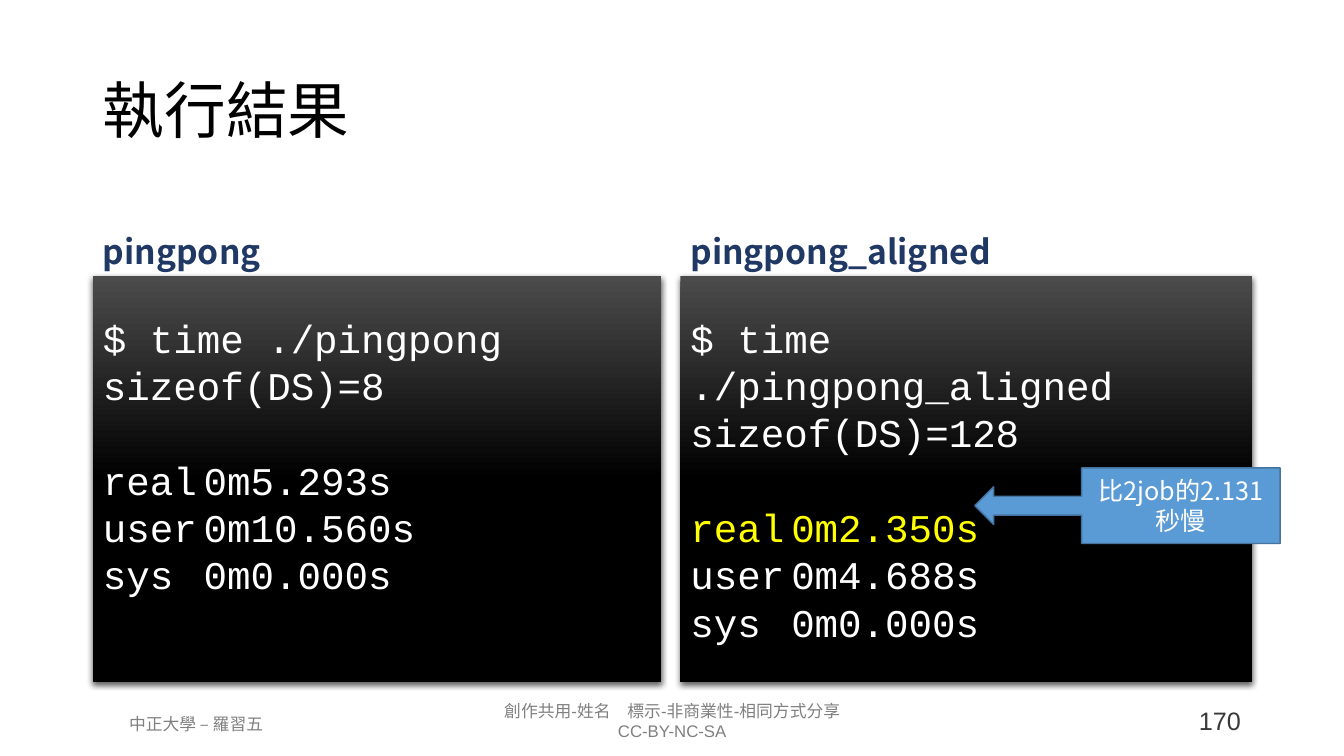
import pptx
import pptx.util
import pptx.dml.color
import pptx.enum.shapes
import pptx.enum.text
import pptx.oxml
import pptx.oxml.ns
from dataclasses import dataclass

Pt = pptx.util.Pt
Rgb = pptx.dml.color.RGBColor.from_string
Align = pptx.enum.text.PP_ALIGN
Anchor = pptx.enum.text.MSO_ANCHOR
CELL = pptx.util.Inches(13.333) / 32
NS = pptx.oxml.ns.nsdecls("a")


@dataclass
class Theme:
    sans: str = "Noto Sans CJK SC"
    foot: str = "Arial"
    mono: str = "Courier New"
    ink: str = "000000"
    navy: str = "203864"
    white: str = "FFFFFF"
    mark: str = "FFFF00"
    gray: str = "808080"
    dark: str = "3B3838"
    glow: str = "4B4B4B"
    blue: str = "5B9BD5"
    edge: str = "43739E"
    title: int = 44
    code: int = 28
    head: int = 24
    note: int = 18
    small: int = 12
    pitch: float = 33.8


T = Theme()


def put(item, vals):
    for key, val in vals.items():
        setattr(item, key, val)


def place(shape, box):
    put(shape, dict(zip(("left", "top", "width", "height"),
                        (round(n * CELL) for n in box))))


def add(node, xml):
    node.append(pptx.oxml.parse_xml(xml))


def write(shape, lines, face, size, color, frame=None, para=None, bold=False, tabs=False):
    text = shape.text_frame
    put(text, {"word_wrap": True, "auto_size": pptx.enum.text.MSO_AUTO_SIZE.NONE,
               **(frame or {})})
    for i, line in enumerate(lines):
        p = text.paragraphs[0] if i == 0 else text.add_paragraph()
        props = p._p.get_or_add_pPr()
        put_flat(props, tabs)
        put(p, {"space_before": Pt(0), "space_after": Pt(0), "line_spacing": 1.0,
                "alignment": Align.LEFT, **(para or {})})
        run = p.add_run()
        run.text = line
        put(run.font, {"name": face, "size": Pt(size), "bold": bold})
        run.font.color.rgb = Rgb(color)
        add(run._r.get_or_add_rPr(), f'<a:ea {NS} typeface="{T.sans}"/>')
    return text.paragraphs


def put_flat(props, tabs):
    for key in ("marL", "indent"):
        props.set(key, "0")
    add(props, f"<a:buNone {NS}/>")
    if tabs:
        add(props, f'<a:tabLst {NS}><a:tab pos="{pptx.util.Inches(1)}" algn="l"/></a:tabLst>')


def paint(shape):
    fill = shape.fill
    fill.gradient()
    fill.gradient_angle = 270
    for stop, spot, color in zip(fill.gradient_stops, (0, 0.5), (T.glow, T.ink)):
        stop.position = spot
        stop.color.rgb = Rgb(color)
    add(shape._element.spPr,
        f'<a:effectLst {NS}><a:outerShdw blurRad="{Pt(4.5)}" dist="{Pt(1.5)}" '
        f'dir="5400000" algn="ctr" rotWithShape="0"><a:srgbClr val="{T.ink}">'
        '<a:alpha val="63000"/></a:srgbClr></a:outerShdw></a:effectLst>')


def title(shape, box):
    place(shape, box)
    write(shape, ["執行結果"], T.sans, T.title, T.ink,
          {"vertical_anchor": Anchor.MIDDLE}, {"line_spacing": 0.9})


def pane(head, body, box, name, lines, spare=0, mark=None):
    x, y, w, h = box
    top = 2.16
    place(head, (x, y, w, top))
    write(head, [name], T.sans, T.head, T.navy,
          {"vertical_anchor": Anchor.BOTTOM}, {"line_spacing": 0.9}, bold=True)
    place(body, (x, y + top, w, h - top))
    paint(body)
    rows = write(body, lines, T.mono, T.code, T.white,
                 {"vertical_anchor": Anchor.MIDDLE,
                  "margin_bottom": Pt(3.6 + spare * T.pitch)},
                 {"line_spacing": Pt(T.pitch)}, tabs=True)
    rows[2].space_before = Pt(T.pitch)
    if mark is not None:
        rows[mark].runs[0].font.color.rgb = Rgb(T.mark)


def callout(slide, box):
    kind = pptx.enum.shapes.MSO_SHAPE.LEFT_ARROW_CALLOUT
    shape = slide.shapes.add_shape(kind, 0, 0, 0, 0)
    place(shape, box)
    shape.shadow.inherit = False
    shape.fill.solid()
    shape.fill.fore_color.rgb = Rgb(T.blue)
    shape.line.color.rgb = Rgb(T.edge)
    shape.line.width = Pt(1)
    write(shape, ["比2job的2.131秒慢"], T.sans, T.note, T.white,
          {"vertical_anchor": Anchor.MIDDLE}, {"alignment": Align.CENTER})


def footer(slide, box):
    x, y, w, h = box
    parts = (
        ((0, 0.31, 6.02, 0.72), ["中正大學 – 羅習五"], T.small, T.gray, Align.CENTER),
        ((8.44, 0, 11.81, h), ["創作共用-姓名　標示-非商業性-相同方式分享", "CC-BY-NC-SA"],
         T.small, T.gray, Align.CENTER),
        ((w - 5.88, 0.12, 5.88, 0.96), ["170"], T.note, T.dark, Align.RIGHT),
    )
    for (dx, dy, wide, high), lines, size, color, align in parts:
        shape = slide.shapes.add_textbox(0, 0, 0, 0)
        place(shape, (x + dx, y + dy, wide, high))
        write(shape, lines, T.foot, size, color, para={"alignment": align})


def main():
    deck = pptx.Presentation()
    put(deck, {"slide_width": round(32 * CELL), "slide_height": round(18 * CELL)})
    slide = deck.slides.add_slide(deck.slide_layouts[4])
    name, *spots = slide.placeholders
    footer(slide, (1.66, 16.56, 28.12, 1.2))
    title(name, (2.21, 0.96, 27.6, 3.48))
    pane(*spots[:2], (2.21, 4.42, 13.54, 11.83), "pingpong",
         ["$ time ./pingpong", "sizeof(DS)=8", "real\t0m5.293s",
          "user\t0m10.560s", "sys\t0m0.000s"], spare=1)
    pane(*spots[2:], (16.2, 4.42, 13.61, 11.83), "pingpong_aligned",
         ["$ time ./pingpong_aligned", "sizeof(DS)=128", "real\t0m2.350s",
          "user\t0m4.688s", "sys\t0m0.000s"], mark=2)
    callout(slide, (23.21, 11.14, 7.27, 1.8))
    deck.save("out.pptx")


if __name__ == "__main__":
    main()
